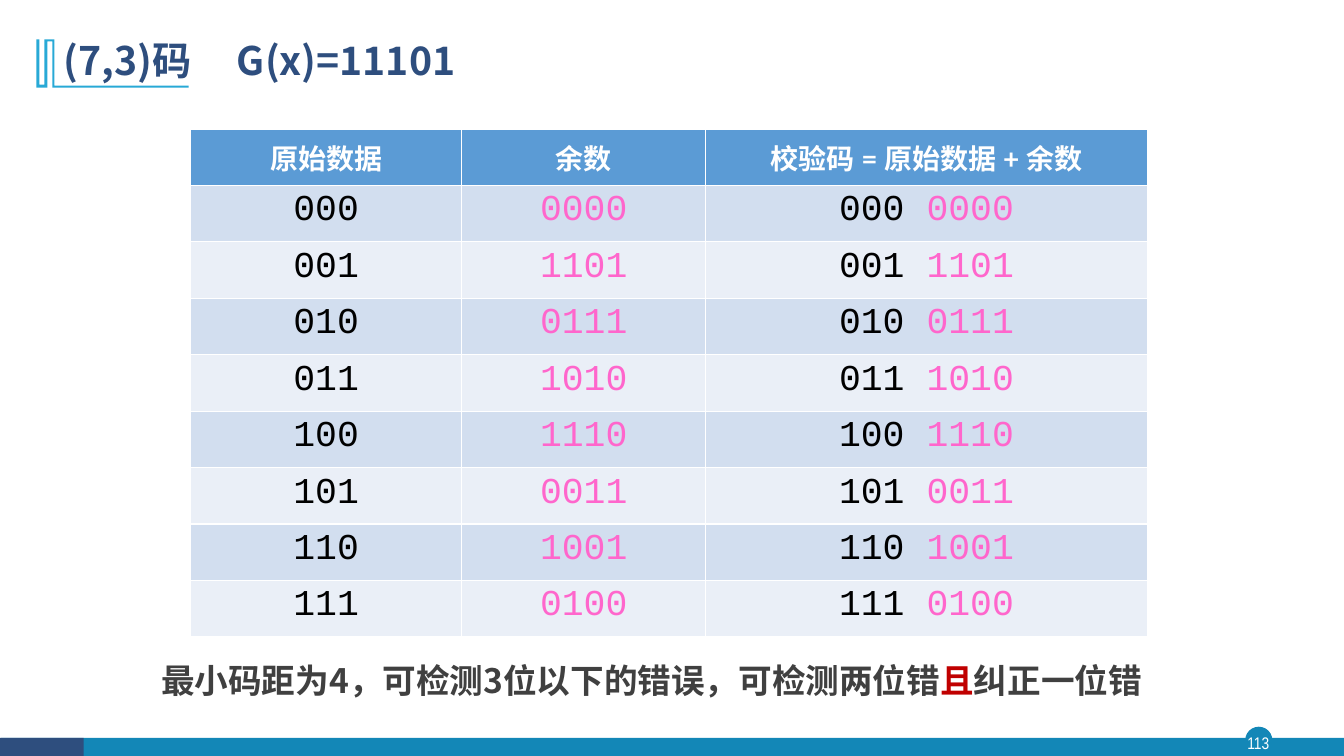
from dataclasses import dataclass

from lxml.etree import SubElement
from pptx import Presentation
from pptx.dml.color import RGBColor
from pptx.enum.shapes import MSO_SHAPE
from pptx.enum.text import MSO_ANCHOR, MSO_AUTO_SIZE, PP_ALIGN
from pptx.oxml.ns import qn
from pptx.util import Inches, Pt

WHITE = RGBColor(0xFF, 0xFF, 0xFF)
BLACK = RGBColor(0x00, 0x00, 0x00)
TEAL = RGBColor(0x13, 0x87, 0xB7)
NAVY = RGBColor(0x2E, 0x4E, 0x7E)
CYAN = RGBColor(0x28, 0xA9, 0xD6)
HEADER_BLUE = RGBColor(0x5B, 0x9B, 0xD5)
BAND_DARK = RGBColor(0xD2, 0xDE, 0xEF)
BAND_LIGHT = RGBColor(0xEA, 0xEF, 0xF7)
PINK = RGBColor(0xFF, 0x66, 0xCC)
GREY = RGBColor(0x40, 0x40, 0x40)
RED = RGBColor(0xC0, 0x00, 0x00)

CJK_FONT = "Noto Sans CJK SC"
HEADINGS = ("原始数据", "余数", "校验码 = 原始数据 + 余数")
COLUMN_WIDTHS = (2.69, 2.42, 4.38)
ROW_HEIGHT = 0.56
REMAINDERS = ("0000", "1101", "0111", "1010", "1110", "0011", "1001", "0100")
EMBLEM_OUTLINE = (
    (0.54, 0.39), (0.54, 0.85), (1.87, 0.85), (1.87, 0.87), (0.52, 0.87),
    (0.52, 0.41), (0.47, 0.41), (0.47, 0.87), (0.36, 0.87), (0.36, 0.39),
    (0.39, 0.39), (0.39, 0.84), (0.44, 0.84), (0.44, 0.39),
)


@dataclass(frozen=True)
class Block:
    preset: MSO_SHAPE
    left: float
    top: float
    width: float
    height: float
    color: RGBColor


@dataclass(frozen=True)
class Piece:
    text: str
    color: RGBColor


FOOTER = (
    Block(MSO_SHAPE.OVAL, 12.35, 7.21, 0.27, 0.27, TEAL),
    Block(MSO_SHAPE.RECTANGLE, 0.01, 7.32, 13.32, 0.19, TEAL),
    Block(MSO_SHAPE.RECTANGLE, 0, 7.32, 0.83, 0.19, NAVY),
)
SUMMARY = (
    Piece("最小码距为4，可检测3位以下的错误，可检测两位错", GREY),
    Piece("且", RED),
    Piece("纠正一位错", GREY),
)


def paint(shape, color: RGBColor) -> None:
    shape.shadow.inherit = False
    shape.fill.solid()
    shape.fill.fore_color.rgb = color
    shape.line.fill.background()


def draw_block(slide, block: Block) -> None:
    shape = slide.shapes.add_shape(
        block.preset, Inches(block.left), Inches(block.top),
        Inches(block.width), Inches(block.height))
    paint(shape, block.color)


def draw_emblem(slide) -> None:
    start, *corners = [(Inches(x), Inches(y)) for x, y in EMBLEM_OUTLINE]
    builder = slide.shapes.build_freeform(*start)
    builder.add_line_segments(corners)
    paint(builder.convert_to_shape(), CYAN)


def set_font(paragraph, name: str, size: int, bold: bool) -> None:
    font = paragraph.font
    font.name, font.size, font.bold = name, Pt(size), bold
    if name == CJK_FONT:
        SubElement(font._element, qn("a:ea"), typeface=name)


def add_pieces(paragraph, pieces: tuple[Piece, ...]) -> None:
    for piece in pieces:
        run = paragraph.add_run()
        run.text = piece.text
        run.font.color.rgb = piece.color


def write_title(slide) -> None:
    title = slide.shapes.title
    slide.shapes._spTree.append(title._element)
    title.left, title.top = Inches(0.53), Inches(0.28)
    title.width, title.height = Inches(11.5), Inches(0.68)
    title.text_frame.vertical_anchor = MSO_ANCHOR.MIDDLE
    paragraph = title.text_frame.paragraphs[0]
    paragraph.text = "(7,3)码\tG(x)=11101"
    tabs = SubElement(paragraph._p.get_or_add_pPr(), qn("a:tabLst"))
    SubElement(tabs, qn("a:tab"), pos=str(Inches(1.72)), algn="l")
    paragraph.alignment = PP_ALIGN.LEFT
    paragraph.line_spacing = 0.9
    set_font(paragraph, CJK_FONT, 28, True)
    paragraph.font.color.rgb = NAVY


def fill_cell(cell, pieces: tuple[Piece, ...], background: RGBColor,
              font_name: str, size: int, bold: bool) -> None:
    cell.fill.solid()
    cell.fill.fore_color.rgb = background
    cell.margin_left = cell.margin_right = Inches(0.11)
    paragraph = cell.text_frame.paragraphs[0]
    paragraph.alignment = PP_ALIGN.CENTER
    add_pieces(paragraph, pieces)
    set_font(paragraph, font_name, size, bold)


def draw_code_table(slide) -> None:
    row_count = len(REMAINDERS) + 1
    table = slide.shapes.add_table(
        row_count, len(HEADINGS), Inches(1.89), Inches(1.28),
        Inches(sum(COLUMN_WIDTHS)), Inches(ROW_HEIGHT * row_count)).table
    for column, width in zip(table.columns, COLUMN_WIDTHS):
        column.width = Inches(width)
    for row in table.rows:
        row.height = Inches(ROW_HEIGHT)
    for cell, heading in zip(table.rows[0].cells, HEADINGS):
        fill_cell(cell, (Piece(heading, WHITE),), HEADER_BLUE, "Lato", 20, True)
        cell.vertical_anchor = MSO_ANCHOR.MIDDLE
    for number, remainder in enumerate(REMAINDERS):
        data = f"{number:03b}"
        check = Piece(remainder, PINK)
        contents = ((Piece(data, BLACK),), (check,), (Piece(data + " ", BLACK), check))
        band = BAND_LIGHT if number % 2 else BAND_DARK
        for cell, pieces in zip(table.rows[number + 1].cells, contents):
            fill_cell(cell, pieces, band, "Courier New", 26, False)


def write_page_number(slide) -> None:
    frame = slide.shapes.add_textbox(
        Inches(12.32), Inches(7.21), Inches(0.32), Inches(0.31)).text_frame
    frame.margin_left = frame.margin_right = frame.margin_top = frame.margin_bottom = 0
    frame.word_wrap = True
    frame.vertical_anchor = MSO_ANCHOR.MIDDLE
    paragraph = frame.paragraphs[0]
    paragraph.text = "113"
    paragraph.alignment = PP_ALIGN.CENTER
    set_font(paragraph, "Arial Narrow", 12, False)
    paragraph.font.color.rgb = WHITE


def write_summary(slide) -> None:
    frame = slide.shapes.add_textbox(
        Inches(1.5), Inches(6.5), Inches(10.2), Inches(0.5)).text_frame
    frame.word_wrap = True
    frame.auto_size = MSO_AUTO_SIZE.SHAPE_TO_FIT_TEXT
    paragraph = frame.paragraphs[0]
    add_pieces(paragraph, SUMMARY)
    set_font(paragraph, CJK_FONT, 24, True)


def main() -> None:
    presentation = Presentation()
    presentation.slide_width = Inches(13.33)
    presentation.slide_height = Inches(7.5)
    slide = presentation.slides.add_slide(presentation.slide_layouts[5])
    for block in FOOTER:
        draw_block(slide, block)
    write_page_number(slide)
    draw_emblem(slide)
    write_title(slide)
    draw_code_table(slide)
    write_summary(slide)
    presentation.save("out.pptx")


if __name__ == "__main__":
    main()
